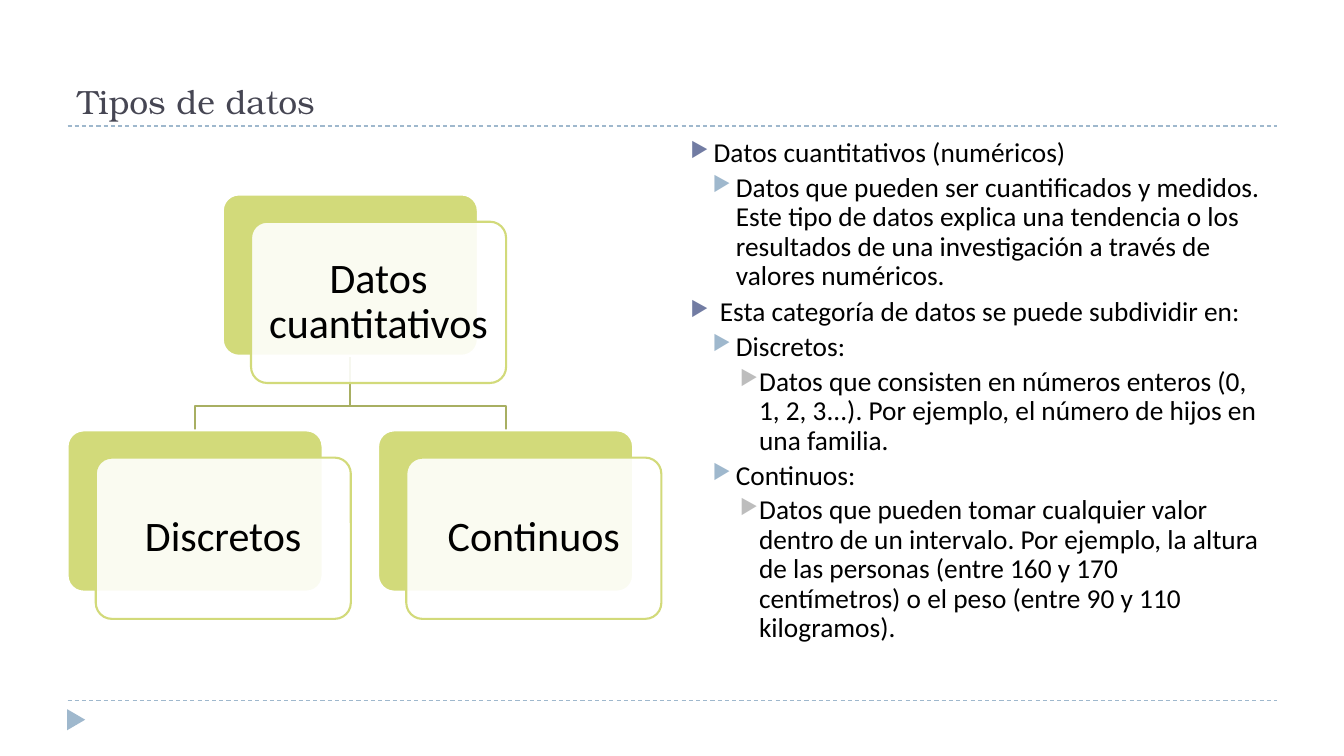
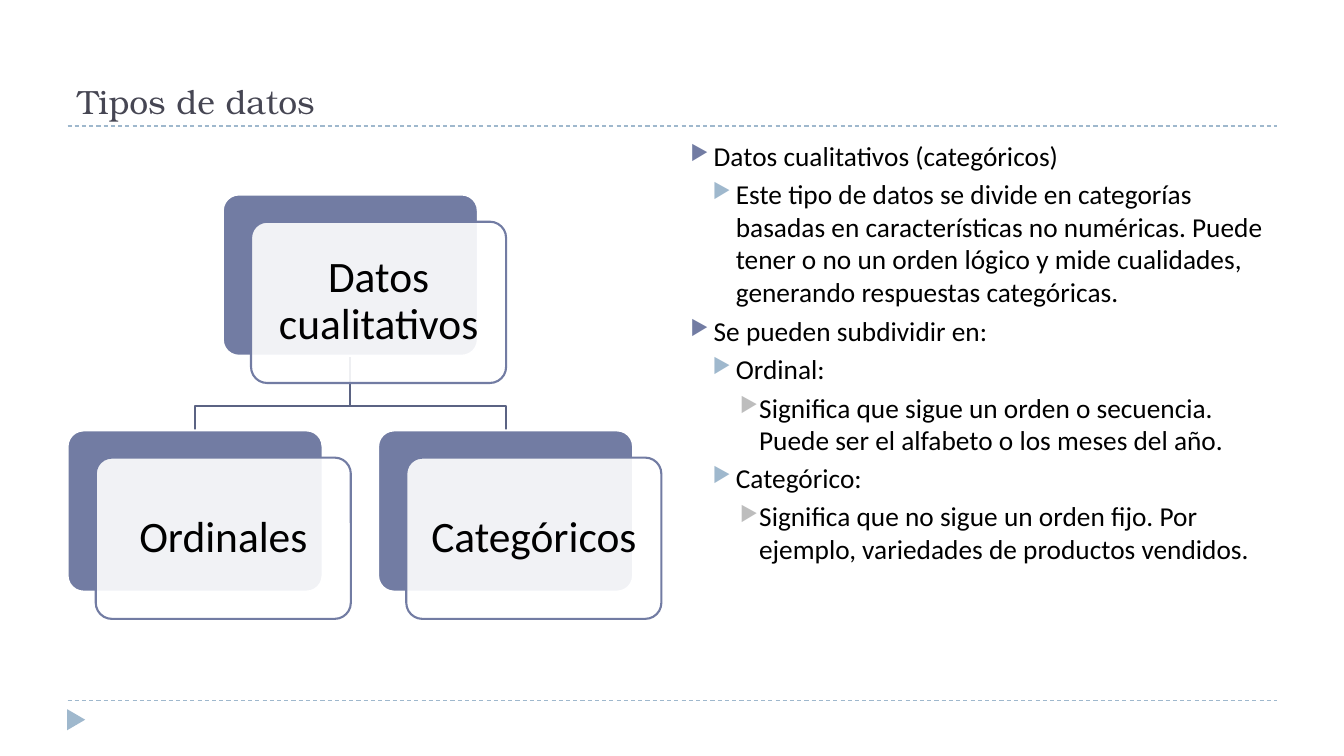
import pptx
import pptx.util
import pptx.dml.color
import pptx.enum.dml
import pptx.enum.shapes
import pptx.enum.text
import pptx.oxml.ns
import lxml.etree

Inches = pptx.util.Inches
Pt = pptx.util.Pt
qn = pptx.oxml.ns.qn
Preset = pptx.enum.shapes.MSO_SHAPE
Anchor = pptx.enum.text.MSO_ANCHOR
Align = pptx.enum.text.PP_ALIGN

COLORS = {
    "white": "FFFFFF",
    "text": "000000",
    "title": "464653",
    "rule": "9FB8CD",
    "lime": "D2DA7A",
    "lime_line": "A8AF62",
    "indigo": "727CA3",
    "indigo_line": "5B6383",
    "gray": "BDBDBD",
}
BODY_FONT = "Calibri"
TITLE_FONT = "TeX Gyre Bonum"
LEVELS = [
    {"margin": 0.23, "indent": -0.23, "before": 4.5, "bullet": "indigo"},
    {"margin": 0.45, "indent": -0.23, "before": 3.8, "bullet": "rule"},
    {"margin": 0.68, "indent": -0.19, "before": 3.8, "bullet": "gray"},
]

SLIDES = [
    {
        "title": "Tipos de datos",
        "color": "lime",
        "size": 30,
        "spacing": 0.9,
        "root": "Datos cuantitativos",
        "children": ["Discretos", "Continuos"],
        "outline": [
            (0, "Datos cuantitativos (numéricos)"),
            (1, "Datos que pueden ser cuantificados y medidos. Este tipo de datos explica una "
                "tendencia o los resultados de una investigación a través de valores numéricos."),
            (0, " Esta categoría de datos se puede subdividir en:"),
            (1, "Discretos:"),
            (2, "Datos que consisten en números enteros (0, 1, 2, 3...). Por ejemplo, el número "
                "de hijos en una familia."),
            (1, "Continuos:"),
            (2, "Datos que pueden tomar cualquier valor dentro de un intervalo. Por ejemplo, la "
                "altura de las personas (entre 160 y 170 centímetros) o el peso (entre 90 y 110 "
                "kilogramos)."),
        ],
    },
    {
        "title": "Tipos de datos",
        "color": "indigo",
        "size": 31,
        "spacing": 1.0,
        "root": "Datos cualitativos",
        "children": ["Ordinales", "Categóricos"],
        "outline": [
            (0, "Datos cualitativos (categóricos)"),
            (1, "Este tipo de datos se divide en categorías basadas en características no "
                "numéricas. Puede tener o no un orden lógico y mide cualidades, generando "
                "respuestas categóricas."),
            (0, "Se pueden subdividir en:"),
            (1, "Ordinal:"),
            (2, "Significa que sigue un orden o secuencia. Puede ser el alfabeto o los meses "
                "del año."),
            (1, "Categórico:"),
            (2, "Significa que no sigue un orden fijo. Por ejemplo, variedades de productos "
                "vendidos."),
        ],
    },
]


def rgb(name):
    return pptx.dml.color.RGBColor.from_string(COLORS[name])


def write_text(paragraph, text, size, font=BODY_FONT, color="text", align=Align.LEFT,
               spacing=1.0, before=0):
    paragraph.alignment = align
    paragraph.line_spacing = spacing
    paragraph.space_before = Pt(before)
    run = paragraph.add_run()
    run.text = text
    run.font.name = font
    run.font.size = Pt(size)
    run.font.color.rgb = rgb(color)


def prepare_frame(frame, anchor, horizontal=0.1, vertical=0.05):
    frame.word_wrap = True
    frame.auto_size = pptx.enum.text.MSO_AUTO_SIZE.NONE
    frame.vertical_anchor = anchor
    frame.margin_left = frame.margin_right = Inches(horizontal)
    frame.margin_top = frame.margin_bottom = Inches(vertical)


def add_bullet(paragraph, level):
    style = LEVELS[level]
    paragraph.level = level
    properties = paragraph._p.get_or_add_pPr()
    properties.set("marL", str(Inches(style["margin"])))
    properties.set("indent", str(Inches(style["indent"])))
    color = lxml.etree.SubElement(properties, qn("a:buClr"))
    lxml.etree.SubElement(color, qn("a:srgbClr"), val=COLORS[style["bullet"]])
    lxml.etree.SubElement(properties, qn("a:buSzPct"), val="76000")
    lxml.etree.SubElement(properties, qn("a:buChar"), char="▶")


def add_preset(slide, preset, left, top, width, height, fill, line=None):
    shape = slide.shapes.add_shape(
        preset, Inches(left), Inches(top), Inches(width), Inches(height))
    shape.shadow.inherit = False
    shape.fill.solid()
    shape.fill.fore_color.rgb = rgb(fill)
    if line:
        shape.line.color.rgb = rgb(line)
        shape.line.width = Pt(1.5)
    else:
        shape.line.fill.background()
    return shape


def add_rule(slide, left, top, width):
    rule = slide.shapes.add_connector(
        pptx.enum.shapes.MSO_CONNECTOR.STRAIGHT,
        Inches(left), Inches(top), Inches(left + width), Inches(top))
    rule.line.color.rgb = rgb("rule")
    rule.line.width = Pt(0.75)
    rule.line.dash_style = pptx.enum.dml.MSO_LINE.DASH
    lxml.etree.SubElement(rule._element.spPr, qn("a:effectLst"))


def add_frame(slide, title, left, top, width, height):
    add_rule(slide, left, 6.95, width)
    add_rule(slide, left, top + height, width)
    marker = add_preset(slide, Preset.ISOSCELES_TRIANGLE, left - 0.02, 7.05, 0.21, 0.18, "rule")
    marker.rotation = 90
    placeholder = slide.shapes.title
    placeholder.left, placeholder.top = Inches(left), Inches(top)
    placeholder.width, placeholder.height = Inches(width), Inches(height)
    prepare_frame(placeholder.text_frame, Anchor.BOTTOM)
    write_text(placeholder.text_frame.paragraphs[0], title, 24, font=TITLE_FONT, color="title")


def add_outline(slide, items, spacing, left, top, width, height):
    box = slide.shapes.add_textbox(Inches(left), Inches(top), Inches(width), Inches(height))
    frame = box.text_frame
    prepare_frame(frame, Anchor.TOP)
    for index, (level, text) in enumerate(items):
        paragraph = frame.paragraphs[0] if index == 0 else frame.add_paragraph()
        add_bullet(paragraph, level)
        before = LEVELS[level]["before"] if index else 0
        write_text(paragraph, text, 19.5, spacing=spacing, before=before)


def add_branch(slide, start, end, drop, color):
    (start_x, start_y), (end_x, end_y) = start, end
    points = [(start_x, start_y + drop), (end_x, start_y + drop), (end_x, end_y)]
    builder = slide.shapes.build_freeform(Inches(start_x), Inches(start_y))
    builder.add_line_segments([(Inches(x), Inches(y)) for x, y in points], close=False)
    branch = builder.convert_to_shape()
    branch.shadow.inherit = False
    branch.fill.background()
    branch.line.color.rgb = rgb(color)
    branch.line.width = Pt(1.5)


def add_card(slide, text, size, color, left, top, width, height, shift):
    back = add_preset(slide, Preset.ROUNDED_RECTANGLE, left, top, width, height, color, "white")
    front = add_preset(slide, Preset.ROUNDED_RECTANGLE, left + shift[0], top + shift[1],
                       width, height, "white", color)
    for shape in (back, front):
        shape.adjustments[0] = 0.1
    fill_color = front._element.spPr.find(qn("a:solidFill")).find(qn("a:srgbClr"))
    lxml.etree.SubElement(fill_color, qn("a:alpha"), val="90000")
    prepare_frame(front.text_frame, Anchor.MIDDLE, 0.08, 0.08)
    write_text(front.text_frame.paragraphs[0], text, size, align=Align.CENTER, spacing=0.9)


def add_tree(slide, root, children, size, color, left, top, width, height):
    shift = (0.28, 0.27)
    card_width, card_height = 2.53, 1.6
    column_step = (width - shift[0] - card_width) / (len(children) - 1)
    child_top = top + height - shift[1] - card_height
    root_left = left + (width - shift[0] - card_width) / 2
    child_lefts = [left + column_step * index for index in range(len(children))]
    start = (root_left + card_width / 2, top + card_height)
    for child_left in reversed(child_lefts):
        end = (child_left + card_width / 2, child_top)
        add_branch(slide, start, end, 0.5, color + "_line")
    cards = [(root, root_left, top)]
    cards += [(text, child_left, child_top) for text, child_left in zip(children, child_lefts)]
    for text, card_left, card_top in cards:
        add_card(slide, text, size, color, card_left, card_top, card_width, card_height, shift)


def build_slide(presentation, content):
    slide = presentation.slides.add_slide(presentation.slide_layouts[5])
    add_frame(slide, content["title"], 0.67, 0.25, 12, 1)
    add_outline(slide, content["outline"], content["spacing"], 6.75, 1.33, 5.89, 5.4)
    add_tree(slide, content["root"], content["children"], content["size"], content["color"],
             0.67, 1.93, 5.89, 4.21)


def main():
    presentation = pptx.Presentation()
    presentation.slide_width = Inches(13.33)
    presentation.slide_height = Inches(7.5)
    for content in SLIDES:
        build_slide(presentation, content)
    presentation.save("out.pptx")


if __name__ == "__main__":
    main()
